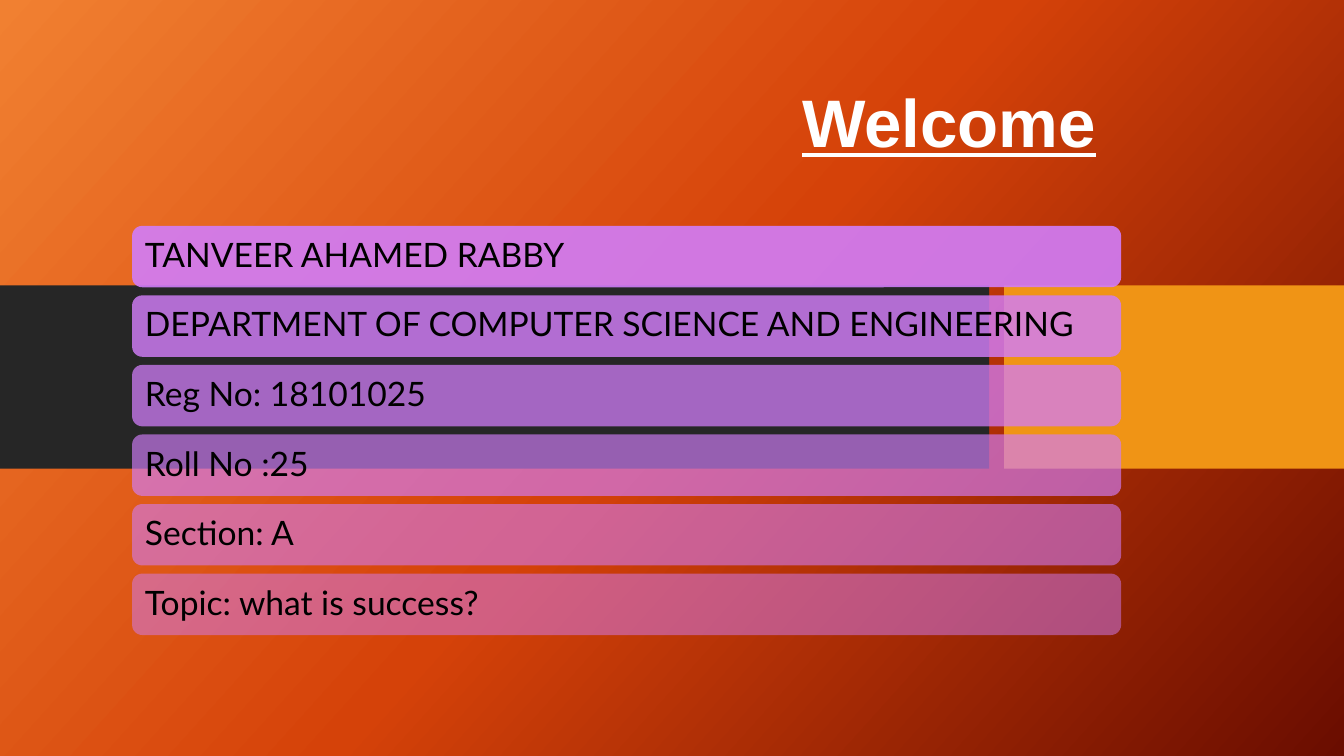
import copy
from dataclasses import dataclass

import pptx
import pptx.dml.color
import pptx.enum.shapes
import pptx.enum.text
import pptx.oxml
import pptx.oxml.ns
import pptx.util

Inches = pptx.util.Inches
RGBColor = pptx.dml.color.RGBColor
Shapes = pptx.enum.shapes.MSO_SHAPE
Anchor = pptx.enum.text.MSO_ANCHOR
Align = pptx.enum.text.PP_ALIGN
qn = pptx.oxml.ns.qn


@dataclass(frozen=True)
class Theme:
    """Colours, fonts and type sizes of the slide."""
    gradient: tuple = ((0, "F18031"), (0.5, "D54209"), (1, "6A0D00"))
    gradient_angle: int = 42
    dark_band: str = "262626"
    accent_band: str = "F09415"
    card: str = "D17DF9"
    title_color: str = "FFFFFF"
    text_color: str = "000000"
    title_font: str = "Arial"
    text_font: str = "Lato"
    title_size: int = 48
    text_size: int = 24


THEME = Theme()
DETAILS = (
    "TANVEER AHAMED RABBY",
    "DEPARTMENT OF COMPUTER SCIENCE AND ENGINEERING",
    "Reg No: 18101025",
    "Roll No :25",
    "Section: A",
    "Topic: what is success?",
)


def paint_background(slide):
    """Fill the slide background with the diagonal gradient."""
    fill = slide.background.fill
    fill.gradient()
    stop_list = slide.element.find(".//" + qn("a:gsLst"))
    stop_list.append(copy.deepcopy(stop_list[-1]))
    for stop, (position, color) in zip(fill.gradient_stops, THEME.gradient):
        stop.position = position
        stop.color.rgb = RGBColor.from_string(color)
    fill.gradient_angle = 360 - THEME.gradient_angle


def add_block(slide, kind, left, top, width, height, color):
    """Add a plain filled shape and return it."""
    shape = slide.shapes.add_shape(
        kind, Inches(left), Inches(top), Inches(width), Inches(height))
    shape.shadow.inherit = False
    shape.fill.solid()
    shape.fill.fore_color.rgb = RGBColor.from_string(color)
    shape.line.fill.background()
    return shape


def set_opacity(shape, percent):
    """Make the solid fill of a shape partly transparent."""
    color = shape.fill._xPr.find(qn("a:solidFill"))[0]
    alpha = pptx.oxml.parse_xml(
        f'<a:alpha {pptx.oxml.ns.nsdecls("a")} val="{percent * 1000}"/>')
    color.append(alpha)


def format_paragraph(paragraph, font_name, size, color, alignment):
    """Set the font, alignment and line spacing of a paragraph."""
    paragraph.alignment = alignment
    paragraph.line_spacing = 0.9
    paragraph.font.name = font_name
    paragraph.font.size = pptx.util.Pt(size)
    paragraph.font.color.rgb = RGBColor.from_string(color)


def set_title(slide, text):
    """Place and format the title placeholder."""
    title = slide.shapes.title
    title.left, title.top = Inches(1.46), Inches(0.22)
    title.width, title.height = Inches(9.51), Inches(1.44)
    frame = title.text_frame
    frame.text = text
    frame.vertical_anchor = Anchor.BOTTOM
    paragraph = frame.paragraphs[0]
    format_paragraph(paragraph, THEME.title_font, THEME.title_size,
                     THEME.title_color, Align.RIGHT)
    paragraph.font.bold = True
    paragraph.font.underline = True


def add_detail_card(slide, index, text):
    """Add one rounded card, fainter the lower it stands."""
    card = add_block(slide, Shapes.ROUNDED_RECTANGLE,
                     1.31, 2.24 + 0.69 * index, 9.81, 0.61, THEME.card)
    set_opacity(card, 90 - 8 * index)
    frame = card.text_frame
    frame.text = text
    frame.word_wrap = True
    frame.vertical_anchor = Anchor.MIDDLE
    frame.margin_left = frame.margin_right = Inches(0.1)
    format_paragraph(frame.paragraphs[0], THEME.text_font, THEME.text_size,
                     THEME.text_color, Align.LEFT)


def main():
    """Build the welcome slide and save it."""
    presentation = pptx.Presentation()
    presentation.slide_width = Inches(13.33)
    presentation.slide_height = Inches(7.5)
    slide = presentation.slides.add_slide(presentation.slide_layouts[5])
    paint_background(slide)
    add_block(slide, Shapes.RECTANGLE, 0, 2.83, 9.81, 1.82, THEME.dark_band)
    add_block(slide, Shapes.RECTANGLE, 9.96, 2.83, 3.37, 1.82, THEME.accent_band)
    set_title(slide, "Welcome")
    for index, text in enumerate(DETAILS):
        add_detail_card(slide, index, text)
    presentation.save("out.pptx")


if __name__ == "__main__":
    main()
